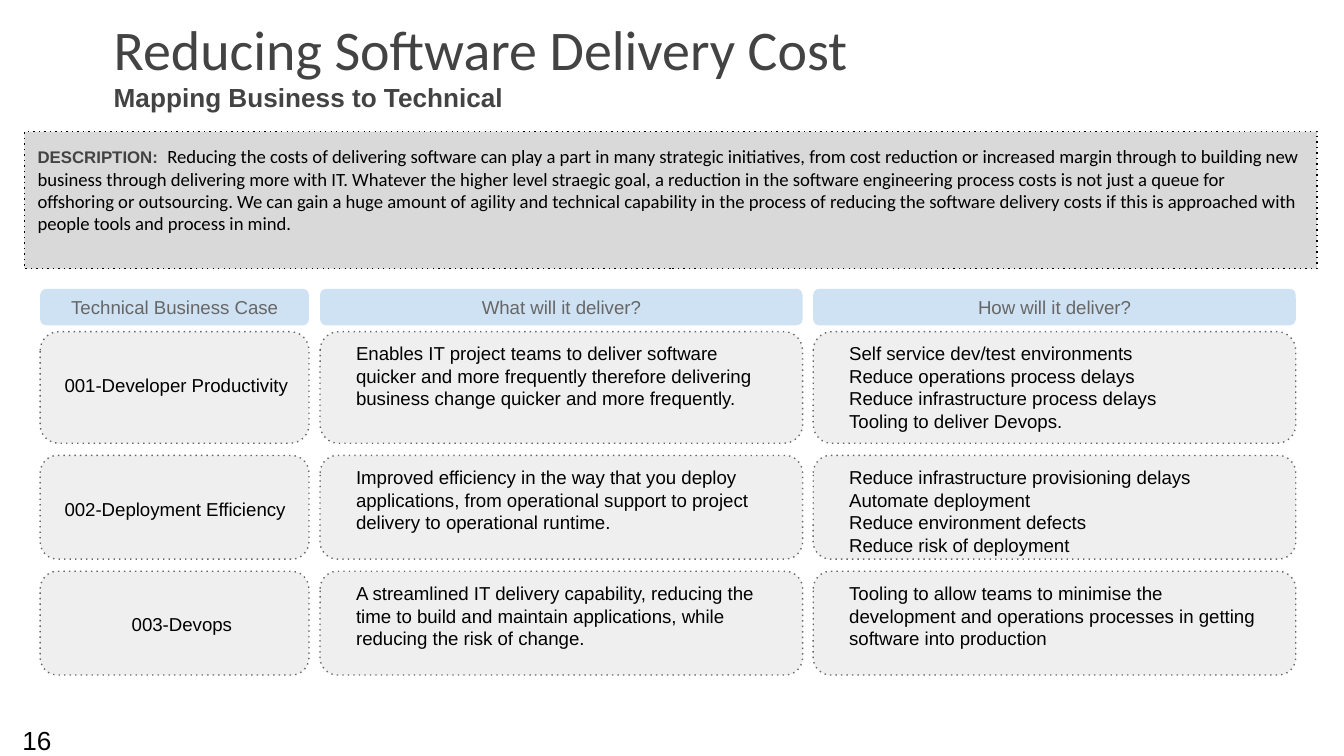
"""Build the slide that maps software delivery cost goals to technical cases."""
from dataclasses import dataclass

from pptx import Presentation
from pptx.dml.color import RGBColor
from pptx.enum.dml import MSO_LINE
from pptx.enum.shapes import MSO_SHAPE
from pptx.enum.text import MSO_ANCHOR, PP_ALIGN
from pptx.oxml.ns import qn
from pptx.util import Cm, Pt


@dataclass(frozen=True)
class Run:
    text: str
    size: float = 10
    color: str = "000000"
    font: str = "Arial"
    bold: bool = False


@dataclass(frozen=True)
class Box:
    left: float
    top: float
    width: float
    height: float


@dataclass(frozen=True)
class Column:
    left: float
    width: float
    heading: str


@dataclass(frozen=True)
class Case:
    top: float
    height: float
    label: str
    label_left: float
    details: tuple[tuple[str, ...], ...]


COLUMNS = (
    Column(0.76, 5.08, "Technical Business Case"),
    Column(6.05, 9.12, "What will it deliver?"),
    Column(15.37, 9.12, "How will it deliver?"),
)

CASES = (
    Case(6.27, 2.11, "001-Developer Productivity", 0.97, (
        ("Enables IT project teams to deliver software quicker and more "
         "frequently therefore delivering business change quicker and more "
         "frequently.",),
        ("Self service dev/test environments",
         "Reduce operations process delays",
         "Reduce infrastructure process delays",
         "Tooling to deliver Devops."),
    )),
    Case(8.61, 1.96, "002-Deployment Efficiency", 0.97, (
        ("Improved efficiency in the way that you deploy applications, from "
         "operational support to project delivery to operational runtime.",),
        ("Reduce infrastructure provisioning delays",
         "Automate deployment",
         "Reduce environment defects",
         "Reduce risk of deployment"),
    )),
    Case(10.8, 1.96, "003-Devops", 2.24, (
        ("A streamlined IT delivery capability, reducing the time to build "
         "and maintain applications, while reducing the risk of change.",),
        ("Tooling to allow teams to minimise the development and operations "
         "processes in getting software into production",),
    )),
)

DESCRIPTION = (
    "Reducing the costs of delivering software can play a part in many "
    "strategic initiatives, from cost reduction or increased margin through "
    "to building new business through delivering more with IT. Whatever the "
    "higher level straegic goal, a reduction in the software engineering "
    "process costs is not just a queue for offshoring or outsourcing. We can "
    "gain a huge amount of agility and technical capability in the process of "
    "reducing the software delivery costs if this is approached with people "
    "tools and process in mind."
)


def rgb(value: str) -> RGBColor:
    return RGBColor.from_string(value)


def write(sp, paragraphs, align=PP_ALIGN.LEFT, anchor=MSO_ANCHOR.TOP,
          inset_y: float = 0.25) -> None:
    tf = sp.text_frame
    tf.word_wrap = True
    tf.vertical_anchor = anchor
    tf.margin_left = tf.margin_right = Cm(0.25)
    tf.margin_top = tf.margin_bottom = Cm(inset_y)
    for i, runs in enumerate(paragraphs):
        p = tf.add_paragraph() if i else tf.paragraphs[0]
        p.alignment = align
        for run in runs:
            r = p.add_run()
            r.text = run.text
            r.font.size = Pt(run.size)
            r.font.name = run.font
            r.font.bold = run.bold
            r.font.color.rgb = rgb(run.color)


def add_text(s, box: Box, paragraphs, **style) -> None:
    sp = s.shapes.add_textbox(Cm(box.left), Cm(box.top), Cm(box.width), Cm(box.height))
    write(sp, paragraphs, **style)


def add_panel(s, box: Box, fill: str, line: str = "",
              kind=MSO_SHAPE.ROUNDED_RECTANGLE):
    sp = s.shapes.add_shape(kind, Cm(box.left), Cm(box.top), Cm(box.width), Cm(box.height))
    sp.shadow.inherit = False
    sp.fill.solid()
    sp.fill.fore_color.rgb = rgb(fill)
    if line:
        sp.line.color.rgb = rgb(line)
        sp.line.width = Pt(0.75)
        sp.line.dash_style = MSO_LINE.ROUND_DOT
        next(sp.element.iter(qn("a:prstDash"))).set("val", "dot")
    else:
        sp.line.fill.background()
    return sp


def add_case(s, case: Case) -> None:
    for col in COLUMNS:
        add_panel(s, Box(col.left, case.top, col.width, case.height), "EFEFEF", "666666")
    add_text(s, Box(case.label_left, case.top + 0.58, 5.16, 1.3), [[Run(case.label)]])
    for col, lines in zip(COLUMNS[1:], case.details):
        add_text(s, Box(col.left + 0.43, case.top - 0.05, 8.33, 1.3),
                 [[Run(line)] for line in lines])


def main() -> None:
    prs = Presentation()
    prs.slide_width, prs.slide_height = Cm(25.4), Cm(14.29)
    s = prs.slides.add_slide(prs.slide_layouts[6])

    add_text(s, Box(0, 13.56, 1.4, 0.48), [[Run("16", 14)]],
             align=PP_ALIGN.CENTER, inset_y=0.13)
    add_text(s, Box(1.9, 0.81, 21.6, 1.57), [
        [Run("Reducing Software Delivery Cost", 30, "434343", "Calibri")],
        [Run("Mapping Business to Technical", 14, "434343", bold=True)],
    ], anchor=MSO_ANCHOR.BOTTOM)

    panel = add_panel(s, Box(0.46, 2.49, 24.43, 2.59), "D9D9D9", "000000",
                      MSO_SHAPE.RECTANGLE)
    write(panel, [[Run("DESCRIPTION:  ", 9, "434343", bold=True),
                   Run(DESCRIPTION, font="Calibri")]])

    for col in COLUMNS:
        header = add_panel(s, Box(col.left, 5.46, col.width, 0.69), "CFE2F3")
        write(header, [[Run(col.heading, color="666666")]],
              align=PP_ALIGN.CENTER, anchor=MSO_ANCHOR.MIDDLE)
    for case in CASES:
        add_case(s, case)

    prs.save("out.pptx")


if __name__ == "__main__":
    main()
